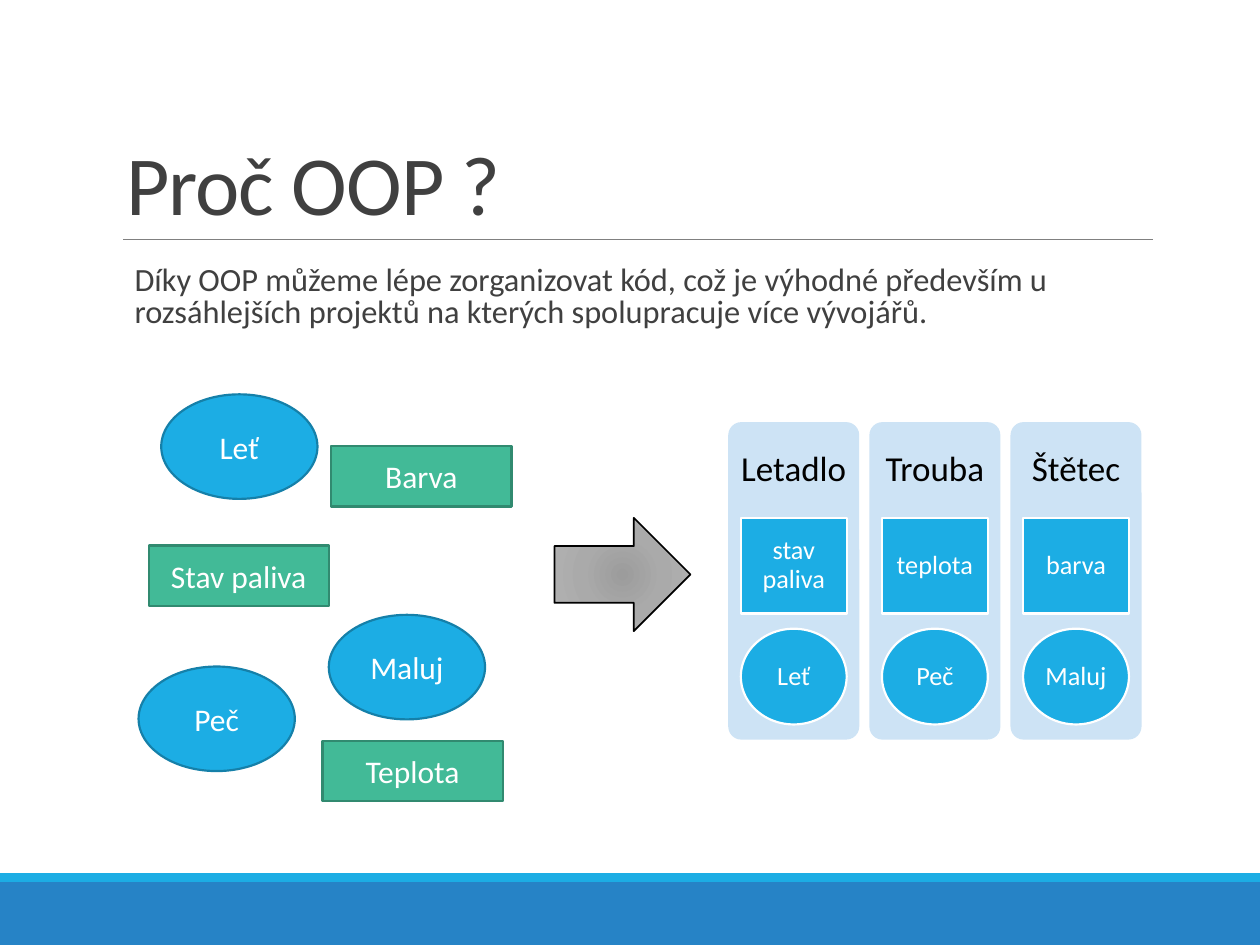
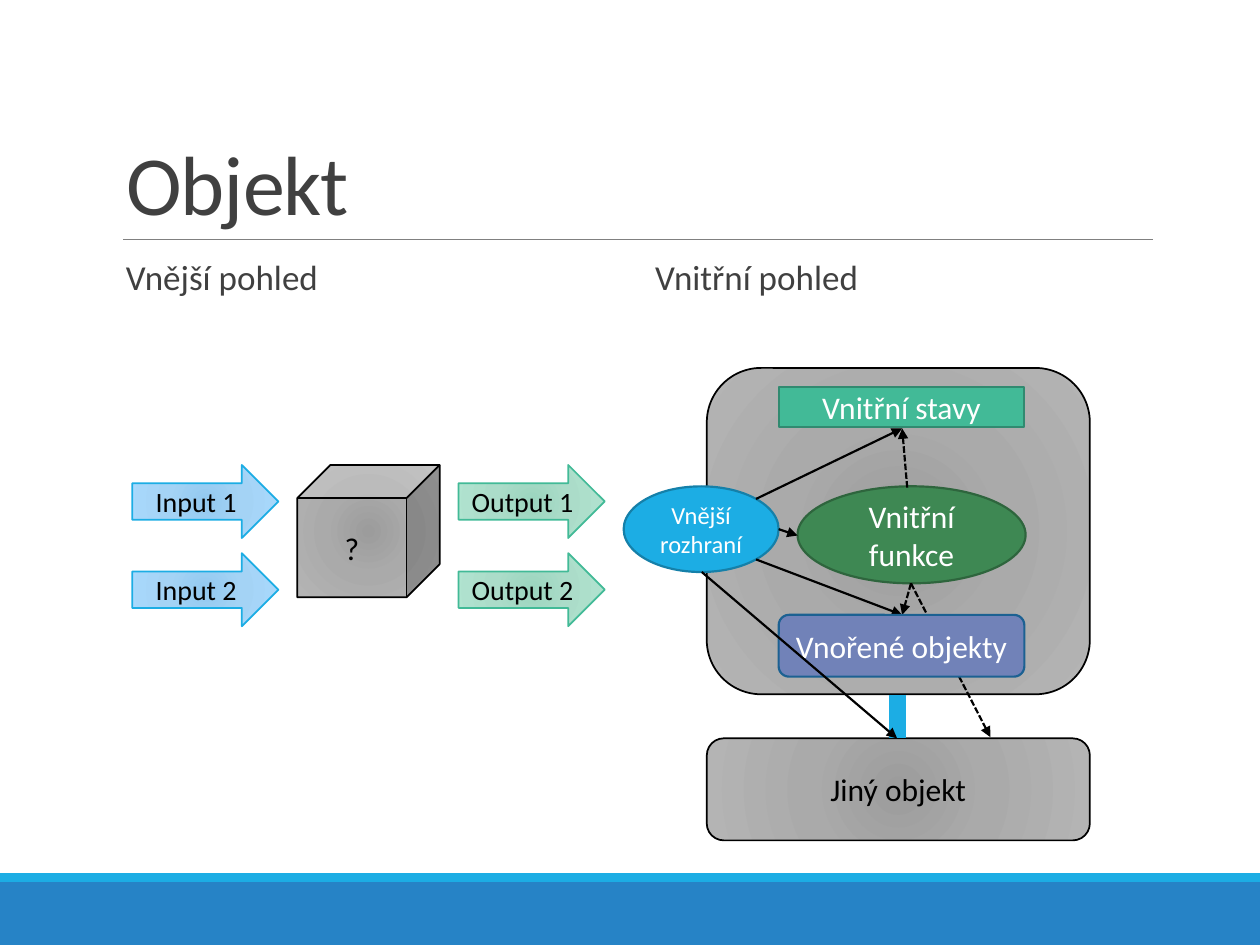
"""Builds two slides on why and how objects are used in OOP."""
from lxml import etree
from pptx import Presentation, util as u
from pptx.dml.color import RGBColor
from pptx.enum import dml, shapes, text
from pptx.oxml import ns

PX = 9144
FONT = "Calibri"
INK, BLACK, WHITE = "404040", "000000", "FFFFFF"
SKY, BLUE, GREEN, RULE, PALE = "1CADE4", "2683C6", "42BA97", "808080", "CDE3F5"
KIND = shapes.MSO_SHAPE
ALIGN, ANCHOR = text.PP_ALIGN, text.MSO_ANCHOR

GRAY = ("9C9C9C", "AAAAAA", "B4B4B4")
LOOKS = {
    "method": (SKY, "1580A9", 1.25, WHITE),
    "state": (GREEN, "318A70", 1.25, WHITE),
    "inner": ("3E8853", "2E653D", 1.25, WHITE),
    "nested": ("7182B8", "1C6192", 1.25, WHITE),
    "member": (SKY, WHITE, 1.25, WHITE),
    "object": (GRAY, BLACK, 1, BLACK),
    "input": (("92C9F0", "A4D3F5", "A9D9FD"), SKY, 1, BLACK),
    "output": (("9BD5BE", "ABDCC9", "B1E4D0"), GREEN, 1, BLACK),
    "card": (PALE, None, 0, BLACK),
    "base": (BLUE, None, 0, WHITE),
    "strip": (SKY, None, 0, WHITE),
}

REASON = ("Díky OOP můžeme lépe zorganizovat kód, což je výhodné především "
          "u rozsáhlejších projektů na kterých spolupracuje více vývojářů.")
METHODS = [("Leť", 128, 313), ("Maluj", 261, 488), ("Peč", 110, 529)]
STATES = [("Stav paliva", 118, 433), ("Teplota", 256, 588), ("Barva", 263, 354)]
CARDS = [("Letadlo", "stav paliva", "Leť"), ("Trouba", "teplota", "Peč"),
         ("Štětec", "barva", "Maluj")]

VIEWS = [("Vnější pohled", 90), ("Vnitřní pohled", 510)]
PORTS = [("Input", "input", 105), ("Output", "output", 364)]
PARTS = [
    ("", "object", KIND.ROUNDED_RECTANGLE, (561, 292, 304, 259), 18),
    ("Vnější rozhraní", "method", KIND.OVAL, (495, 386, 123, 68), 14),
    ("Vnitřní stavy", "state", KIND.RECTANGLE, (618, 307, 195, 32), 18),
    ("Vnitřní funkce", "inner", KIND.OVAL, (633, 386, 181, 77), 18),
    ("Jiný objekt", "object", KIND.ROUNDED_RECTANGLE, (561, 586, 304, 81), 18),
]
CALLS = [(600, 444, 716, 488), (600, 396, 716, 340), (618, 420, 633, 425)]
USES = [(720, 387, 716, 340), (723, 463, 716, 488), (723, 463, 786, 585)]


def color(code):
    return RGBColor.from_string(code)


def put(frame, words, size=18, ink=INK, align=ALIGN.CENTER, anchor=ANCHOR.MIDDLE,
        gap=1, inset=(10, 5, 10, 5), track=None):
    frame.word_wrap = True
    frame.auto_size = text.MSO_AUTO_SIZE.NONE
    frame.vertical_anchor = anchor
    frame.margin_left, frame.margin_top, frame.margin_right, frame.margin_bottom = (
        n * PX for n in inset)
    para = frame.paragraphs[0]
    para.alignment, para.line_spacing = align, gap
    run = para.add_run()
    run.text = words
    run.font.name, run.font.size = FONT, u.Pt(size)
    run.font.color.rgb = color(ink)
    if track:
        run.font._element.set("spc", str(track))


def label(slide, words, box, **form):
    put(slide.shapes.add_textbox(*(n * PX for n in box)).text_frame, words, **form)


def blend(shape, codes):
    shape.fill.solid()
    flat = shape.element.spPr.find(ns.qn("a:solidFill"))
    grad = etree.Element(ns.qn("a:gradFill"), rotWithShape="1")
    stops = etree.SubElement(grad, ns.qn("a:gsLst"))
    for place, code in zip((0, 45000, 100000), codes):
        stop = etree.SubElement(stops, ns.qn("a:gs"), pos=str(place))
        etree.SubElement(stop, ns.qn("a:srgbClr"), val=code)
    ring = etree.SubElement(grad, ns.qn("a:path"), path="circle")
    etree.SubElement(ring, ns.qn("a:fillToRect"), dict.fromkeys("ltrb", "100000"))
    flat.getparent().replace(flat, grad)


def draw(slide, kind, box, look, words="", **form):
    fill, edge, width, ink = LOOKS[look]
    shape = slide.shapes.add_shape(kind, *(n * PX for n in box))
    shape.shadow.inherit = False
    if isinstance(fill, tuple):
        blend(shape, fill)
    else:
        shape.fill.solid()
        shape.fill.fore_color.rgb = color(fill)
    if edge:
        shape.line.color.rgb = color(edge)
        shape.line.width = u.Pt(width)
    else:
        shape.line.fill.background()
    if words:
        put(shape.text_frame, words, ink=ink, **form)
    return shape


def link(slide, ends, ink=BLACK, width=1.25, dash=False, arrow=True):
    wire = slide.shapes.add_connector(shapes.MSO_CONNECTOR.STRAIGHT,
                                      *(n * PX for n in ends))
    wire.line.color.rgb = color(ink)
    wire.line.width = u.Pt(width)
    if dash:
        wire.line.dash_style = dml.MSO_LINE.SQUARE_DOT
    props = wire.element.spPr
    if arrow:
        etree.SubElement(props.find(ns.qn("a:ln")), ns.qn("a:tailEnd"), type="triangle")
    etree.SubElement(props, ns.qn("a:effectLst"))


def start(deck, title):
    slide = deck.slides.add_slide(deck.slide_layouts[5])
    draw(slide, KIND.RECTANGLE, (0, 700, 1000, 50), "base")
    draw(slide, KIND.RECTANGLE, (0, 693, 1000, 7), "strip")
    link(slide, (98, 190, 915, 190), RULE, 0.5, arrow=False)
    head = slide.shapes.title
    head.left, head.top, head.width, head.height = (
        n * PX for n in (90, 31, 825, 159))
    put(head.text_frame, title, size=48, align=ALIGN.LEFT, anchor=ANCHOR.BOTTOM,
        gap=0.85, track=-50)
    return slide


def reasons(deck):
    slide = start(deck, "Proč OOP ?")
    label(slide, REASON, (97, 207, 817, 62), size=18.5, align=ALIGN.LEFT,
          anchor=ANCHOR.TOP, gap=0.8, inset=(10, 5, 0, 5))
    for i, (name, state, method) in enumerate(CARDS):
        left = 578 + 112 * i
        card = draw(slide, KIND.ROUNDED_RECTANGLE, (left, 335, 104, 252), "card")
        card.adjustments[0] = 0.1
        label(slide, name, (left, 335, 104, 76), size=20, ink=BLACK, gap=0.9,
              inset=(8, 8, 8, 8))
        for kind, top, words in ((KIND.RECTANGLE, 411, state), (KIND.OVAL, 499, method)):
            draw(slide, kind, (left + 10, top, 84, 76), "member", words, size=15,
                 gap=0.9, inset=(4, 3, 4, 3))
    for words, left, top in METHODS:
        draw(slide, KIND.OVAL, (left, top, 124, 83), "method", words)
    for words, left, top in STATES:
        draw(slide, KIND.RECTANGLE, (left, top, 143, 48), "state", words)
    draw(slide, KIND.RIGHT_ARROW, (440, 411, 108, 90), "object")


def views(deck):
    slide = start(deck, "Objekt")
    for words, left in VIEWS:
        label(slide, words, (left, 202, 405, 440), size=20, align=ALIGN.LEFT,
              anchor=ANCHOR.TOP, gap=0.9, inset=(10, 5, 0, 5))
    draw(slide, KIND.CUBE, (236, 369, 113, 105), "object", "?")
    for name, look, left in PORTS:
        for i in range(2):
            draw(slide, KIND.RIGHT_ARROW, (left, 369 + 70 * i, 116, 58), look,
                 f"{name} {i + 1}", size=16)
    for words, look, kind, box, size in PARTS:
        draw(slide, kind, box, look, words, size=size)
    for ends in CALLS:
        link(slide, ends)
    link(slide, (712, 552, 712, 586), SKY, 9.75, arrow=False)
    for ends in USES:
        link(slide, ends, dash=True)
    draw(slide, KIND.ROUNDED_RECTANGLE, (618, 488, 195, 49), "nested", "Vnořené objekty")
    link(slide, (557, 454, 712, 586))


def main():
    deck = Presentation()
    deck.slide_width, deck.slide_height = 1000 * PX, 750 * PX
    reasons(deck)
    views(deck)
    deck.save("out.pptx")


if __name__ == "__main__":
    main()
